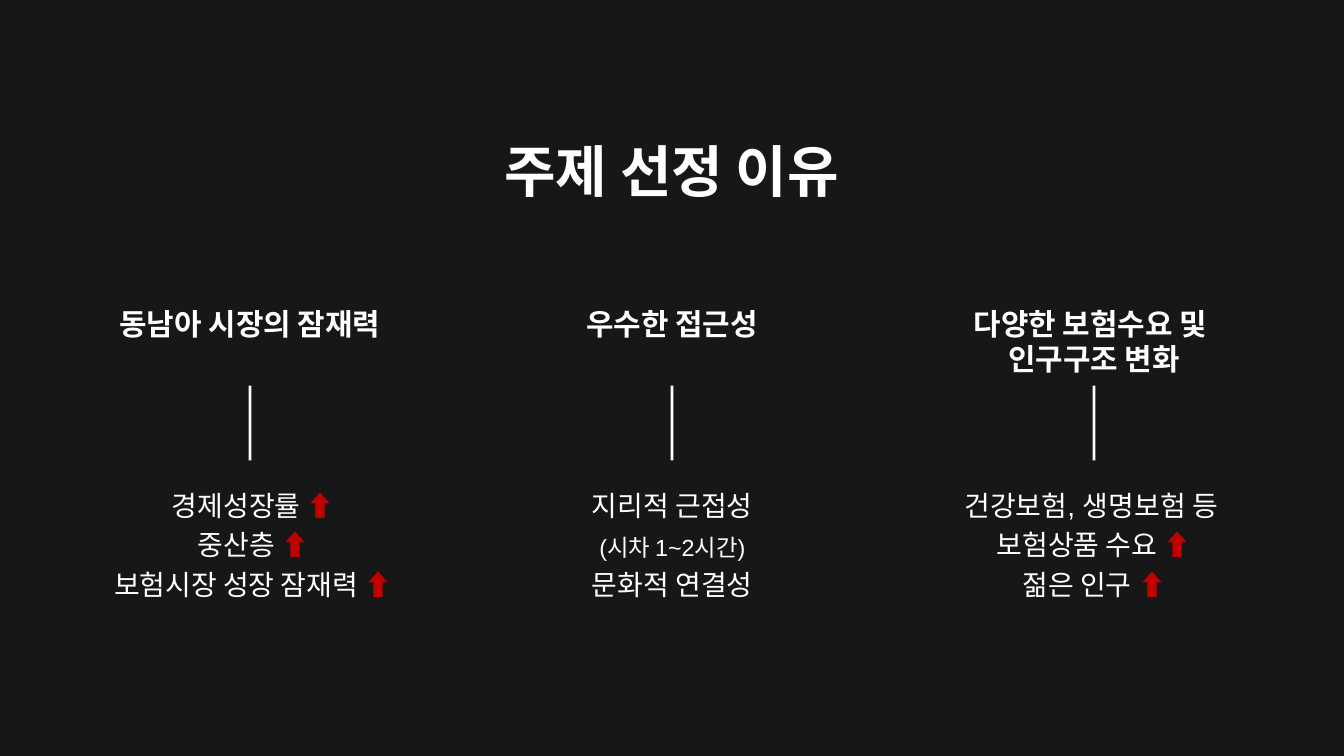
from pptx import Presentation
from pptx.dml.color import RGBColor
from pptx.enum.shapes import MSO_SHAPE
from pptx.enum.text import MSO_ANCHOR, MSO_AUTO_SIZE, PP_ALIGN
from pptx.util import Pt

RECT = MSO_SHAPE.RECTANGLE
TOP = MSO_ANCHOR.TOP
NO_FIT = MSO_AUTO_SIZE.NONE
CENTER = PP_ALIGN.CENTER

COLORS = {"bg": "171717", "text": "FFFFFF", "up": "C00000"}
FONT = "Arial"
UP = "⬆"

SLIDE_W, SLIDE_H = 1440, 810
COLUMN_PITCH = 452.16
HEADING_W = 374
BAR_W, BAR_H = 3, 80

# Heading lines, body lines as (text, size), body width, shift of body centre
COLUMNS = [
    (["동남아 시장의 잠재력"],
     [("경제성장률 " + UP, 30), ("중산층 " + UP, 30), ("보험시장 성장 잠재력 " + UP, 30)],
     327, 3.6),
    (["우수한 접근성"],
     [("지리적 근접성", 30), ("(시차 1~2시간)", 25), ("문화적 연결성", 30)],
     304.5, 0.3),
    (["다양한 보험수요 및 ", "인구구조 변화"],
     [("건강보험, 생명보험 등 ", 30), ("보험상품 수요 " + UP, 30), ("젊은 인구 " + UP, 30)],
     304.5, 0.3),
]


def rgb(name):
    return RGBColor.from_string(COLORS[name])


class Deck:
    def __init__(self):
        self.prs = Presentation()
        self.prs.slide_width, self.prs.slide_height = Pt(SLIDE_W), Pt(SLIDE_H)
        self.s = None

    def new_slide(self):
        self.s = self.prs.slides.add_slide(self.prs.slide_layouts[5])
        fill = self.s.background.fill
        fill.solid()
        fill.fore_color.rgb = rgb("bg")

    def fill_text(self, sp, lines, spacing, bold=False):
        """Fill sp with centred (text, size) lines; up arrows become red runs."""
        tf = sp.text_frame
        tf.word_wrap = True
        tf.auto_size = NO_FIT
        tf.vertical_anchor = TOP
        tf.margin_left = tf.margin_right = tf.margin_top = tf.margin_bottom = 0
        for i, (text, size) in enumerate(lines):
            p = tf.paragraphs[0] if i == 0 else tf.add_paragraph()
            p.alignment = CENTER
            p.line_spacing = Pt(spacing)
            label, arrow, _ = text.partition(UP)
            for part, color in ((label, "text"), (arrow, "up")):
                if part:
                    r = p.add_run()
                    r.text = part
                    r.font.name, r.font.size, r.font.bold = FONT, Pt(size), bold
                    r.font.color.rgb = rgb(color)

    def title(self, text, left, top, width, height):
        sp = self.s.shapes.title
        sp.left, sp.top, sp.width, sp.height = Pt(left), Pt(top), Pt(width), Pt(height)
        self.fill_text(sp, [(text, 60)], 78.4, bold=True)

    def text(self, group, center, top, width, height, lines, spacing, bold=False):
        sp = group.shapes.add_textbox(Pt(center - width / 2), Pt(top), Pt(width), Pt(height))
        self.fill_text(sp, lines, spacing, bold)

    def bar(self, group, center, top):
        sp = group.shapes.add_shape(RECT, Pt(center - BAR_W / 2), Pt(top), Pt(BAR_W), Pt(BAR_H))
        sp.shadow.inherit = False
        sp.fill.solid()
        sp.fill.fore_color.rgb = rgb("text")
        sp.line.fill.background()

    def column(self, center, heading, body, body_width, body_shift):
        group = self.s.shapes.add_group_shape()
        self.text(group, center, 327, HEADING_W, 38.4 * len(heading),
                  [(line, 32) for line in heading], 38.4, bold=True)
        self.text(group, center + body_shift, 517.7, body_width, 42 * len(body), body, 42)
        self.bar(group, center, 413.3)


def main():
    deck = Deck()
    deck.new_slide()
    deck.title("주제 선정 이유", 239, 139.7, 961, 72.7)
    for i, column in enumerate(COLUMNS):
        deck.column(SLIDE_W / 2 + (i - 1) * COLUMN_PITCH, *column)
    deck.prs.save("out.pptx")


if __name__ == "__main__":
    main()
